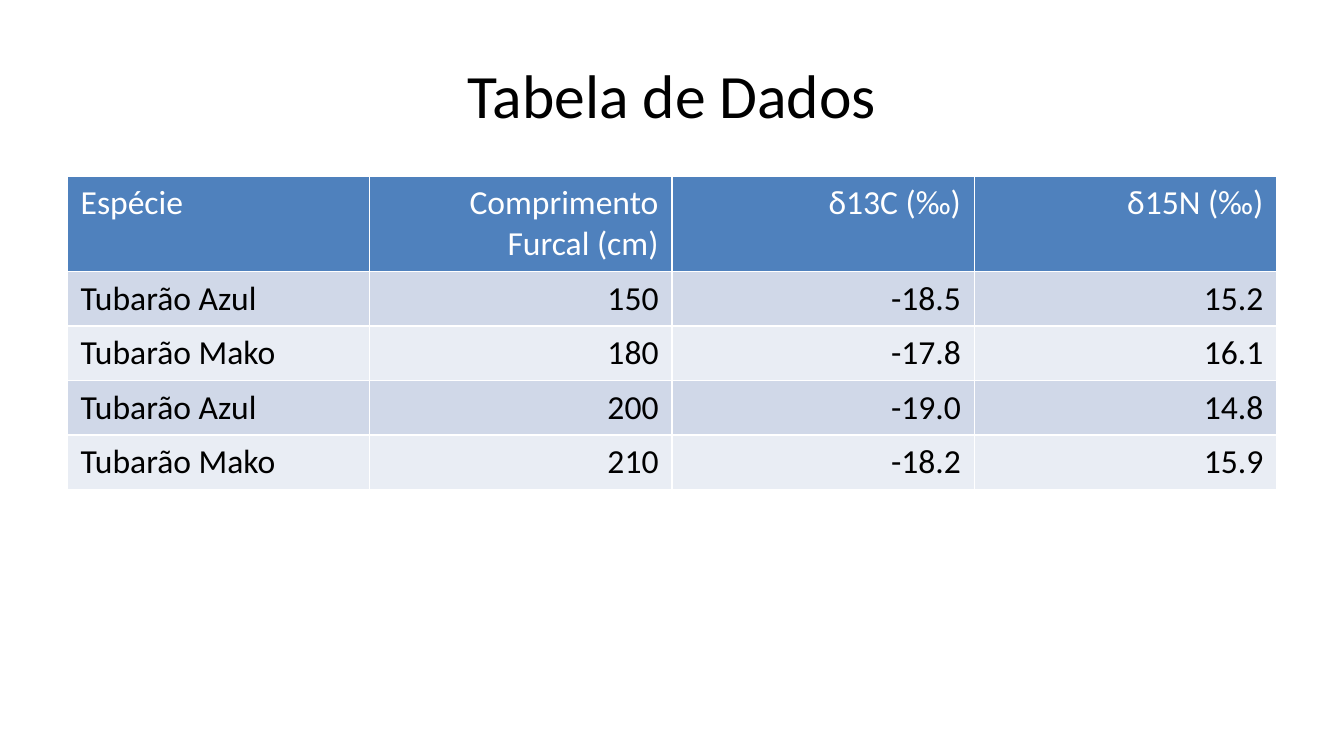
from dataclasses import dataclass

import pptx
import pptx.dml.color
import pptx.enum.text
import pptx.oxml
import pptx.oxml.ns
import pptx.util
from pptx.util import Inches

FONT = "Calibri"
ALIGN = pptx.enum.text.PP_ALIGN


@dataclass(frozen=True)
class RowStyle:
    fill: str
    text: str
    height: float


HEADER = RowStyle("4F81BD", "FFFFFF", 0.7)
BANDS = [RowStyle("D0D8E8", "000000", 0.4), RowStyle("E9EDF4", "000000", 0.4)]

DATA = [
    ("Espécie", "Comprimento Furcal (cm)", "δ13C (‰)", "δ15N (‰)"),
    ("Tubarão Azul", "150", "-18.5", "15.2"),
    ("Tubarão Mako", "180", "-17.8", "16.1"),
    ("Tubarão Azul", "200", "-19.0", "14.8"),
    ("Tubarão Mako", "210", "-18.2", "15.9"),
]


def color(value: str) -> pptx.dml.color.RGBColor:
    return pptx.dml.color.RGBColor.from_string(value)


def write(frame, text: str, size: float, text_color: str, align) -> None:
    frame.text = text
    paragraph = frame.paragraphs[0]
    paragraph.alignment = align
    font = paragraph.runs[0].font
    font.name = FONT
    font.size = pptx.util.Pt(size)
    font.bold = False
    font.color.rgb = color(text_color)


def set_borders(cell) -> None:
    """Draw white cell borders; they must come before the cell fill."""
    properties = cell._tc.get_or_add_tcPr()
    namespace = pptx.oxml.ns.nsdecls("a")
    for side in "LRTB":
        properties.append(pptx.oxml.parse_xml(
            f'<a:ln{side} {namespace} w="{pptx.util.Pt(1)}"><a:solidFill>'
            f'<a:srgbClr val="FFFFFF"/></a:solidFill></a:ln{side}>'))


def fill_row(table, index: int, values: tuple[str, ...], style: RowStyle) -> None:
    table.rows[index].height = Inches(style.height)
    for column, value in enumerate(values):
        cell = table.cell(index, column)
        align = ALIGN.RIGHT if column else ALIGN.LEFT
        write(cell.text_frame, value, 18, style.text, align)
        set_borders(cell)
        cell.fill.solid()
        cell.fill.fore_color.rgb = color(style.fill)


def main() -> None:
    # Widescreen page, 16:9
    deck = pptx.Presentation()
    deck.slide_width = Inches(10)
    deck.slide_height = deck.slide_width * 9 // 16
    page = deck.slides.add_slide(deck.slide_layouts[5])

    # Title
    title = page.shapes.title
    title.left, title.top = Inches(0.5), Inches(0.23)
    title.width, title.height = Inches(9), Inches(0.94)
    write(title.text_frame, "Tabela de Dados", 33, "000000", ALIGN.CENTER)
    title.text_frame.vertical_anchor = pptx.enum.text.MSO_ANCHOR.MIDDLE

    # Data table: a header above alternating bands
    styles = [HEADER] + [BANDS[i % 2] for i in range(len(DATA) - 1)]
    height = sum(style.height for style in styles)
    table = page.shapes.add_table(len(DATA), len(DATA[0]), Inches(0.5), Inches(1.31),
                                  Inches(9), Inches(height)).table
    for index, (values, style) in enumerate(zip(DATA, styles)):
        fill_row(table, index, values, style)

    deck.save("out.pptx")


if __name__ == "__main__":
    main()
